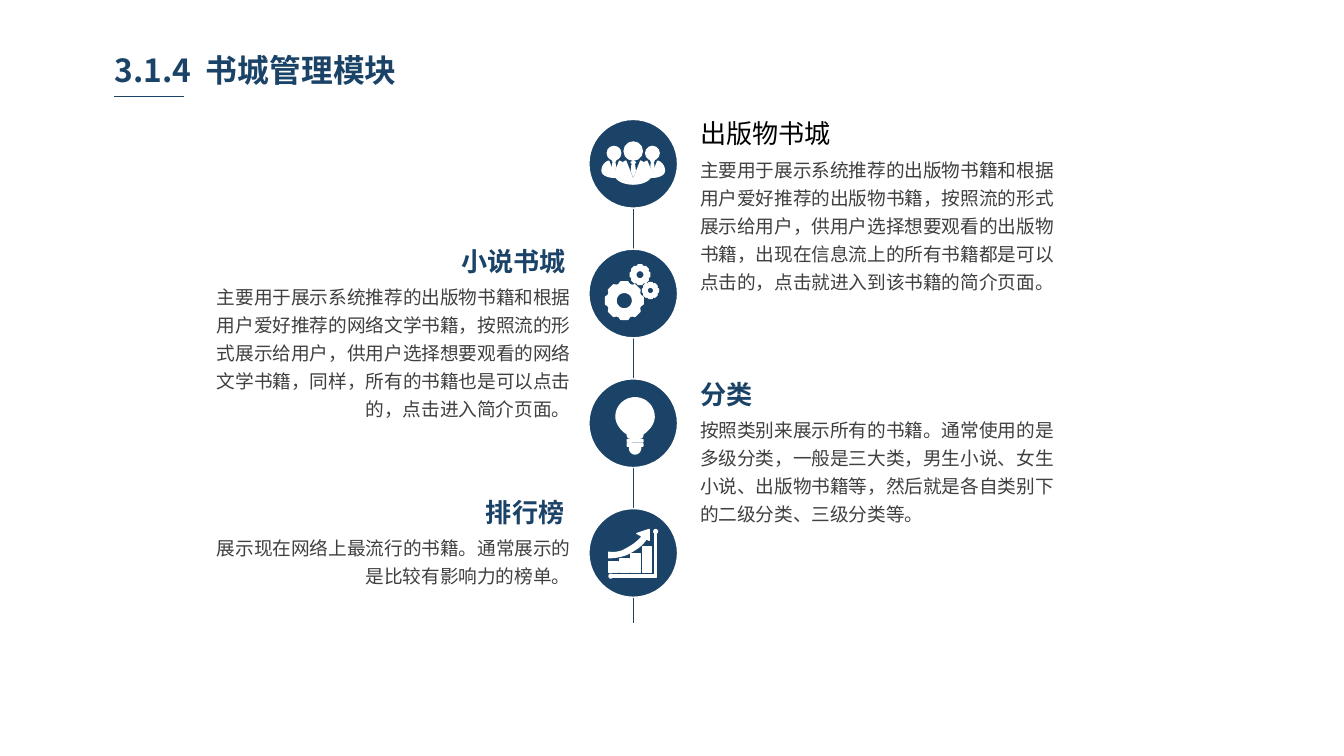
from math import cos, radians, sin

from lxml import etree
from pptx import Presentation
from pptx.dml.color import RGBColor
from pptx.enum.shapes import MSO_CONNECTOR, MSO_SHAPE
from pptx.enum.text import MSO_ANCHOR, MSO_AUTO_SIZE, PP_ALIGN
from pptx.oxml.ns import qn
from pptx.util import Pt

COLORS = {"navy": "1B4367", "gray": "404040", "black": "000000", "white": "FFFFFF"}
FONT = "Noto Sans CJK SC"
CENTER_X, FIRST_Y, STEP_Y, DIAMETER = 339.25, 87.75, 69.5, 47.5


def write(paragraph, text, color, **values):
    run = paragraph.add_run()
    run.text = text
    run.font.color.rgb = RGBColor.from_string(COLORS[color])
    for name, value in {"name": FONT, **values}.items():
        setattr(run.font, name, value)
    east_asian = etree.SubElement(run.font._element, qn("a:ea"))
    east_asian.set("typeface", FONT)
    return run


def outline(shapes, origin, contours, scale=(1, 1)):
    builder = None
    for contour in contours:
        points = []
        for vertex in contour:
            if len(vertex) == 2:
                points.append(vertex)
                continue
            controls = [points[-1], vertex[:2], vertex[2:4], vertex[4:]]
            for step in range(1, 13):
                t = step / 12
                weights = [(1 - t) ** 3, 3 * t * (1 - t) ** 2, 3 * t * t * (1 - t), t ** 3]
                points.append([sum(w * c[axis] for w, c in zip(weights, controls)) for axis in (0, 1)])
        placed = [tuple(Pt(o + s * p) for o, s, p in zip(origin, scale, point)) for point in points]
        if builder is None:
            builder = shapes.build_freeform(*placed[0])
        else:
            builder.move_to(*placed[0])
        builder.add_line_segments(placed[1:], close=True)
    return builder.convert_to_shape()


presentation = Presentation()
presentation.slide_width, presentation.slide_height = Pt(720), Pt(405)
slide = presentation.slides.add_slide(presentation.slide_layouts[5])
slide.background.fill.solid()
slide.background.fill.fore_color.rgb = RGBColor.from_string(COLORS["white"])

title = slide.shapes.title
title.left, title.top, title.width, title.height = Pt(56.25), Pt(24.5), Pt(178), Pt(26)
frame_format = {
    "margin_left": Pt(5), "margin_right": Pt(5), "margin_top": Pt(2.75), "margin_bottom": Pt(2.75),
    "vertical_anchor": MSO_ANCHOR.TOP, "auto_size": MSO_AUTO_SIZE.NONE, "word_wrap": False,
}
for name, value in frame_format.items():
    setattr(title.text_frame, name, value)
heading = title.text_frame.paragraphs[0]
heading.alignment = PP_ALIGN.LEFT
for text, spacing in [("3.1.4", 0), (" ", 400), ("书城管理模块", 0)]:
    run = write(heading, text, "navy", size=Pt(17), bold=True)
    run.font._element.set("spc", str(spacing))

for x1, y1, x2, y2 in [(61.25, 51.75, 98.75, 51.75), (CENTER_X, 69, CENTER_X, 333.5)]:
    line = slide.shapes.add_connector(MSO_CONNECTOR.STRAIGHT, Pt(x1), Pt(y1), Pt(x2), Pt(y2))
    line.line.color.rgb = RGBColor.from_string(COLORS["navy"])
    line.line.width = Pt(0.75)
    etree.SubElement(line._element.spPr, qn("a:effectLst"))

origins = [(CENTER_X, FIRST_Y + STEP_Y * index) for index in range(4)]
groups = [slide.shapes.add_group_shape().shapes for origin in origins]
people, gears, bulb, growth = groups
people_at, gears_at, bulb_at, growth_at = origins

presets = [(group, origin, MSO_SHAPE.OVAL, 0, 0, DIAMETER, DIAMETER) for group, origin in zip(groups, origins)]
presets += [(people, people_at, MSO_SHAPE.OVAL, x, y, size, size)
            for x, y, size in [(0, -6.8, 9.75), (-10.3, -5.7, 7.2), (10.3, -5.7, 7.2)]]
presets += [(growth, growth_at, MSO_SHAPE.RECTANGLE, -10.6 + 6 * index, (top + 10.4) / 2, 5, 10.4 - top)
            for index, top in enumerate([4.7, 3.2, 0.4, -3.2])]
presets += [(growth, growth_at, MSO_SHAPE.OVAL, x, y, 2, 2) for x, y in [(12, -11.5), (-12, 12.4)]]
presets += [(bulb, bulb_at, MSO_SHAPE.ROUNDED_RECTANGLE, 1, y, 8.4, 1.4) for y in (9.4, 11.6)]
parts = []
for group, (x, y), kind, dx, dy, width, height in presets:
    shape = group.add_shape(kind, Pt(x + dx - width / 2), Pt(y + dy - height / 2), Pt(width), Pt(height))
    parts.append((shape, "navy" if width == DIAMETER else "white", 0.75))

center_body = [(9.2, 6.6), (9.2, 3, 7, 0.1, 4, -1.4), (0, 8.7), (-4, -1.4),
               (-7, 0.1, -9.2, 3, -9.2, 6.6), (-9.2, 8.9, -4.7, 10.9, 0, 10.9),
               (4.7, 10.9, 9.2, 8.9, 9.2, 6.6)]
side_body = [(9.5, 6.6), (8.8, 3.7, 8.1, 0.8, 5.9, -0.6), (7.3, -1.4), (10.3, 5.8), (13.1, -1.4),
             (15.3, -0.7, 16.7, 1.5, 16.7, 3.7), (16.7, 5.8, 13.8, 7.3, 9.2, 7.3)]
knot = [(0, -1.4), (1.2, -0.7), (0, 0.1), (-1.2, -0.7)]
tie = [(0.7, 0.8), (0, 0.1), (-0.7, 0.8), (-1, 3.7), (0, 6.6), (1, 3.7)]
bulb_glass = [(10.2, -3.5), (10.2, -9.3, 5.4, -13.6, 0, -13.6), (-5.4, -13.6, -10.2, -9.3, -10.2, -3.5),
              (-10.2, 0.1, -7.5, 3.7, -4.2, 5.8), (-4.2, 7.3, -3.6, 8, -2.6, 8), (2.6, 8),
              (3.6, 8, 4.2, 7.3, 4.2, 5.8), (7.5, 3.7, 10.2, 0.1, 10.2, -3.5)]
bulb_base = [(-3, 13.1), (-3, 15.1, -1.6, 16.5, 0, 16.5), (1.6, 16.5, 3, 15.1, 3, 13.1)]
arrow = [(8.5, -6.8), (8.5, -12.6), (2, -10.4), (4.9, -9), (2, -5.4, -1.6, -3.2, -5.9, -1.1),
         (-9.5, 0.3, -13.1, -0.4, -13.1, -0.4), (-13.1, 2.5), (-12.4, 2.5, -8.8, 2.5, -4.5, 1.1),
         (-2.3, 0.3, -0.1, -1.1, 2, -2.5), (4.2, -4, 5.6, -5.4, 7, -7.6)]
axes = [(11.5, -11), (11.5, 11.9), (-11.5, 11.9), (-11.5, 12.8), (12.4, 12.8), (12.4, -11)]

x, y = people_at
outlines = [(people, people_at, center_body, (1, 1))]
outlines += [(people, people_at, side_body, (side, 1)) for side in (-1, 1)]
outlines += [(people, (x + dx, y + dy), contour, (scale, scale))
             for dx, dy, scale in [(0, 0, 1), (-10.3, -1, 0.8), (10.3, -1, 0.8)] for contour in (knot, tie)]
outlines += [(bulb, (bulb_at[0] + 1, bulb_at[1]), contour, (1, 1)) for contour in (bulb_glass, bulb_base)]
outlines += [(growth, growth_at, contour, (1, 1)) for contour in (arrow, axes)]
for group, origin, contour, scale in outlines:
    parts.append((outline(group, origin, [contour], scale), "white", 0.75))

teeth = [(45 * tooth + turn, radius) for tooth in range(8)
         for turn, radius in [(-18, 0.89), (-10.5, 1), (10.5, 1), (18, 0.89)]]
rim = [(radius * cos(radians(angle)), radius * sin(radians(angle))) for angle, radius in teeth]
hole = [(0.45 * cos(radians(angle)), -0.45 * sin(radians(angle))) for angle in range(0, 360, 10)]
for dx, dy, radius in [(-4.8, 3.8, 10.1), (3.6, -10.1, 5.2), (9.2, -1.6, 4.2)]:
    origin = (gears_at[0] + dx, gears_at[1] + dy)
    parts.append((outline(gears, origin, [rim, hole], (radius, radius)), "white", 1))

for shape, color, width in parts:
    shape.shadow.inherit = False
    shape.fill.solid()
    shape.fill.fore_color.rgb = RGBColor.from_string(COLORS[color])
    shape.line.color.rgb = RGBColor.from_string(COLORS["white"])
    shape.line.width = Pt(width)

modules = [
    ("出版物书城", "主要用于展示系统推荐的出版物书籍和根据用户爱好推荐的出版物书籍，按照流的形式展示给用户，供用户选择想要观看的出版物书籍，出现在信息流上的所有书籍都是可以点击的，点击就进入到该书籍的简介页面。",
     368, 368, 61.25, 81.25, PP_ALIGN.LEFT, "black", False),
    ("小说书城", "主要用于展示系统推荐的出版物书籍和根据用户爱好推荐的网络文学书籍，按照流的形式展示给用户，供用户选择想要观看的网络文学书籍，同样，所有的书籍也是可以点击的，点击进入简介页面。",
     200.25, 100, 129.5, 81.25, PP_ALIGN.RIGHT, "navy", True),
    ("分类", "按照类别来展示所有的书籍。通常使用的是多级分类，一般是三大类，男生小说、女生小说、出版物书籍等，然后就是各自类别下的二级分类、三级分类等。",
     368, 368, 200.75, 66.25, PP_ALIGN.LEFT, "navy", True),
    ("排行榜", "展示现在网络上最流行的书籍。通常展示的是比较有影响力的榜单。",
     199.5, 100, 264, 36, PP_ALIGN.RIGHT, "navy", True),
]
for name, description, name_x, text_x, top, height, alignment, color, bold in modules:
    for text, x, y, width, box_height, values in [
        (description, text_x, top + 17.25, 212.5, height, {"color": "gray", "size": Pt(10)}),
        (name, name_x, top, 110, 22.25, {"color": color, "size": Pt(14), "bold": bold}),
    ]:
        box = slide.shapes.add_textbox(Pt(x), Pt(y), Pt(width), Pt(box_height))
        box.text_frame.word_wrap = True
        paragraph = box.text_frame.paragraphs[0]
        paragraph.alignment = alignment
        paragraph.line_spacing = Pt(15)
        write(paragraph, text, **values)

presentation.save("out.pptx")
